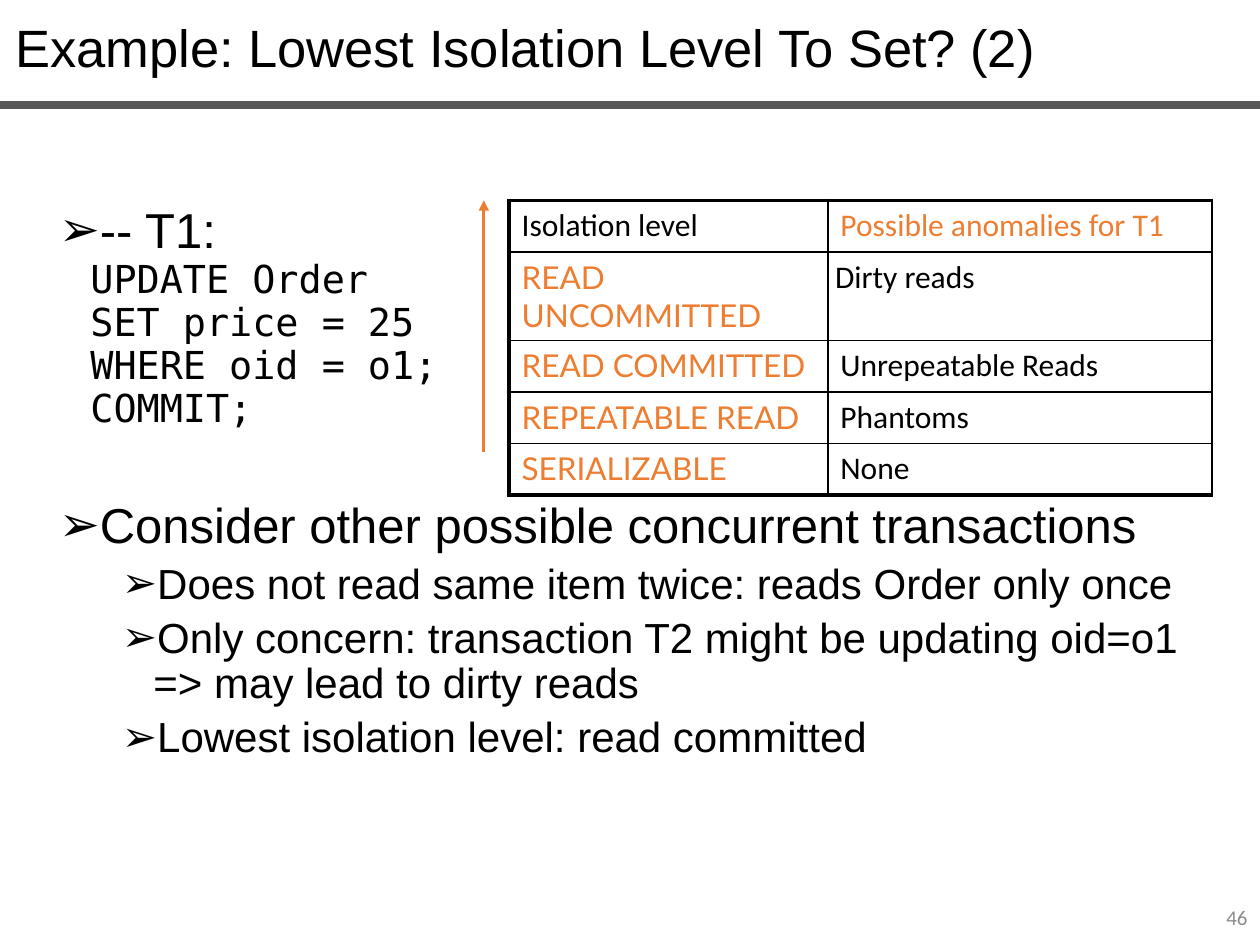
from pptx import Presentation
from pptx.dml.color import RGBColor
from pptx.enum.shapes import MSO_CONNECTOR as Connector
from pptx.enum.text import MSO_ANCHOR as Anchor, PP_ALIGN as Align
from pptx.oxml.ns import qn
from pptx.util import Inches, Pt
from lxml.etree import SubElement

BLACK, ORANGE, GREY, RULE_GREY = "000000", "ED7D31", "8C8C8C", "595959"
LEVELS = ["READ UNCOMMITTED", "READ COMMITTED", "REPEATABLE READ", "SERIALIZABLE"]
ANOMALIES = ["", "Unrepeatable Reads", "Phantoms", "None"]
CODE = ["UPDATE Order", "SET price = 25", "WHERE oid = o1;", "COMMIT;"]
CONCERNS = [
    "Does not read same item twice: reads Order only once",
    "Only concern: transaction T2 might be updating oid=o1 => may lead to dirty reads",
    "Lowest isolation level: read committed",
]


def color(value):
    """Return the colour for a hex string."""
    return RGBColor.from_string(value)


def style(para, font, size, shade=BLACK):
    """Set the font of a whole paragraph."""
    para.font.name = font
    para.font.size = Pt(size)
    para.font.color.rgb = color(shade)


def add_line(page, start, end, shade, width, arrow=False):
    """Draw a straight line, with an optional arrowhead at its end."""
    line = page.shapes.add_connector(Connector.STRAIGHT, *map(Inches, start + end))
    line.line.color.rgb = color(shade)
    line.line.width = Pt(width)
    if arrow:
        SubElement(line.line._get_or_add_ln(), qn("a:tailEnd"), type="triangle")
    SubElement(line._element.spPr, qn("a:effectLst"))


def add_label(page, box, text, size, shade=BLACK, align=Align.LEFT, anchor=Anchor.TOP):
    """Place one line of text in a box."""
    frame = page.shapes.add_textbox(*map(Inches, box)).text_frame
    frame.word_wrap = True
    frame.vertical_anchor = anchor
    para = frame.paragraphs[0]
    para.text = text
    para.alignment = align
    style(para, "Calibri", size, shade)


def add_title(page, box, text):
    """Place the title and the rule beneath it."""
    title = page.shapes.title
    title.left, title.top, title.width, title.height = map(Inches, box)
    frame = title.text_frame
    frame.text = text
    frame.vertical_anchor = Anchor.TOP
    para = frame.paragraphs[0]
    para.alignment = Align.LEFT
    style(para, "Arial", 30)
    add_line(page, (0, 0.83), (10, 0.83), RULE_GREY, 4.5)


def add_body(page, box):
    """Write the transaction code and the bulleted reasoning."""
    frame = page.shapes.add_textbox(*map(Inches, box)).text_frame
    frame.word_wrap = True
    rows = [("-- T1:", "Arial", 28, 0.25, 0, True)]
    rows += [(line, "DejaVu Sans Mono", 22, 0.25, 0, False) for line in CODE]
    rows += [("Consider other possible concurrent transactions", "Arial", 28, 0.25, 40, True)]
    rows += [(line, "Arial", 24, 0.75, 5, True) for line in CONCERNS]
    for index, (text, font, size, margin, before, bullet) in enumerate(rows):
        para = frame.paragraphs[0] if index == 0 else frame.add_paragraph()
        para.text = text
        para.line_spacing = 0.9 if bullet else 0.93
        para.space_before = Pt(before)
        props = para._p.get_or_add_pPr()
        props.set("marL", str(Inches(margin)))
        props.set("indent", str(Inches(-0.25 if bullet else 0)))
        if bullet:
            SubElement(props, qn("a:buFont"), typeface="Arial")
            SubElement(props, qn("a:buChar"), char="➢")
        style(para, font, size)


def add_border(cell, side, width):
    """Draw one border of a cell."""
    edge = SubElement(cell._tc.get_or_add_tcPr(), qn(f"a:ln{side}"), w=str(Pt(width)))
    SubElement(SubElement(edge, qn("a:solidFill")), qn("a:srgbClr"), val=BLACK)


def add_levels_table(page, box):
    """Build the table of isolation levels and their anomalies."""
    rows = [("Isolation level", "Possible anomalies for T1"), *zip(LEVELS, ANOMALIES)]
    table = page.shapes.add_table(len(rows), 2, *map(Inches, box)).table
    table.first_row = table.horz_banding = False
    for column, width in zip(table.columns, (2.53, 3.05)):
        column.width = Inches(width)
    for r, texts in enumerate(rows):
        table.rows[r].height = Inches(0.7 if r == 1 else 0.41)
        for c, text in enumerate(texts):
            cell = table.cell(r, c)
            cell.text = text
            is_level = r > 0 and c == 0
            shade = ORANGE if (r == 0) == (c == 1) else BLACK
            style(cell.text_frame.paragraphs[0], "Lato" if is_level else "Calibri", 18, shade)
            outer = {"L": c == 0, "R": False, "T": r == 0, "B": r == len(rows) - 1}
            for side, thick in outer.items():
                add_border(cell, side, 2.25 if thick else 1)
            cell.fill.background()


def main():
    """Build and save the deck."""
    deck = Presentation()
    deck.slide_width, deck.slide_height = Inches(10), Inches(7.5)
    page = deck.slides.add_slide(deck.slide_layouts[5])
    add_title(page, (0.02, 0.07, 9.98, 0.61), "Example: Lowest Isolation Level To Set? (2)")
    add_body(page, (0.37, 1.59, 9.5, 5.76))
    add_levels_table(page, (4.04, 1.59, 5.58, 2.34))
    add_label(page, (6.53, 1.99, 1.36, 0.4), "Dirty reads", 18)
    add_line(page, (3.84, 3.59), (3.84, 1.59), ORANGE, 1.5, arrow=True)
    add_label(page, (7.75, 7.08, 2.25, 0.4), "46", 12, GREY, Align.RIGHT, Anchor.MIDDLE)
    deck.save("out.pptx")


if __name__ == "__main__":
    main()
